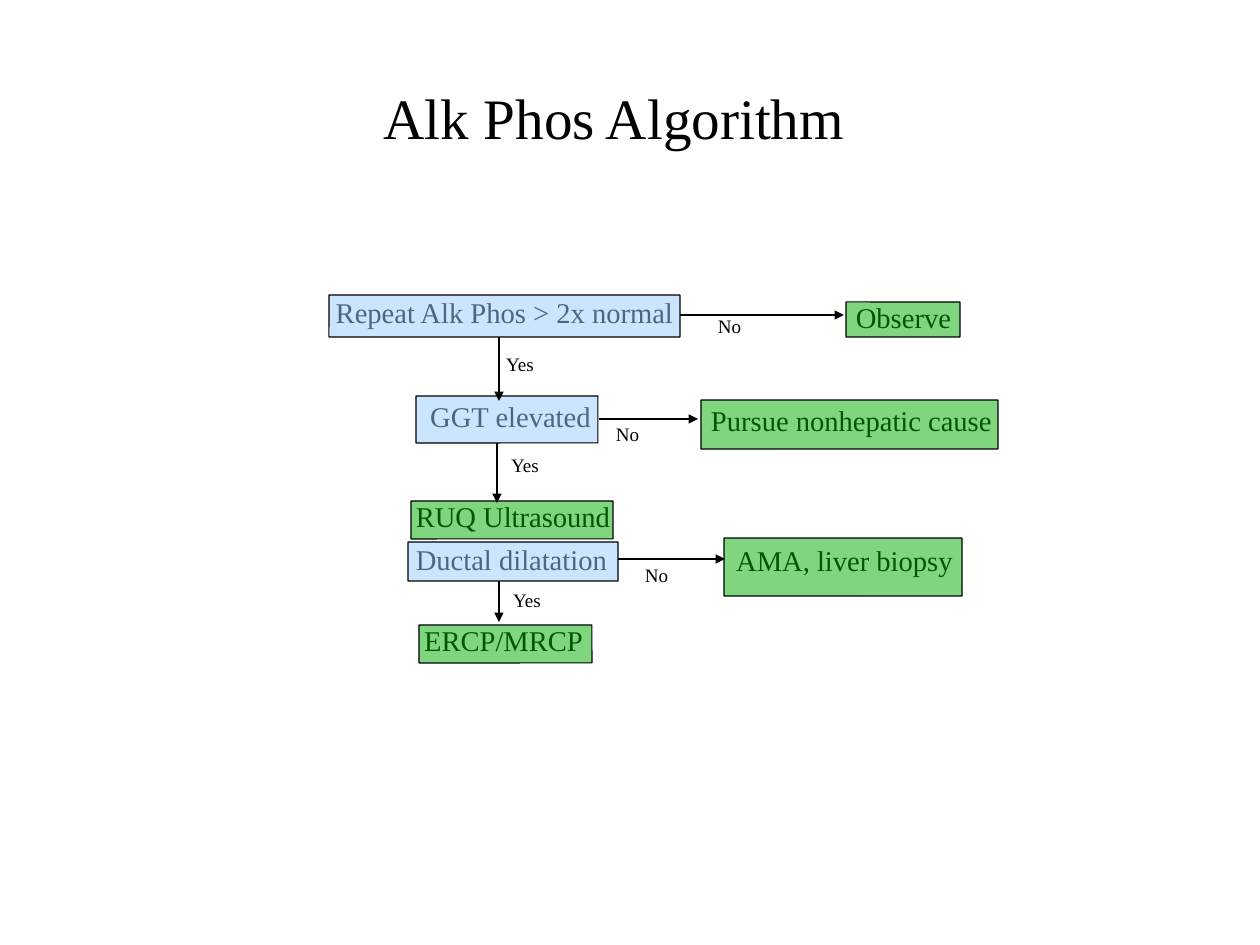
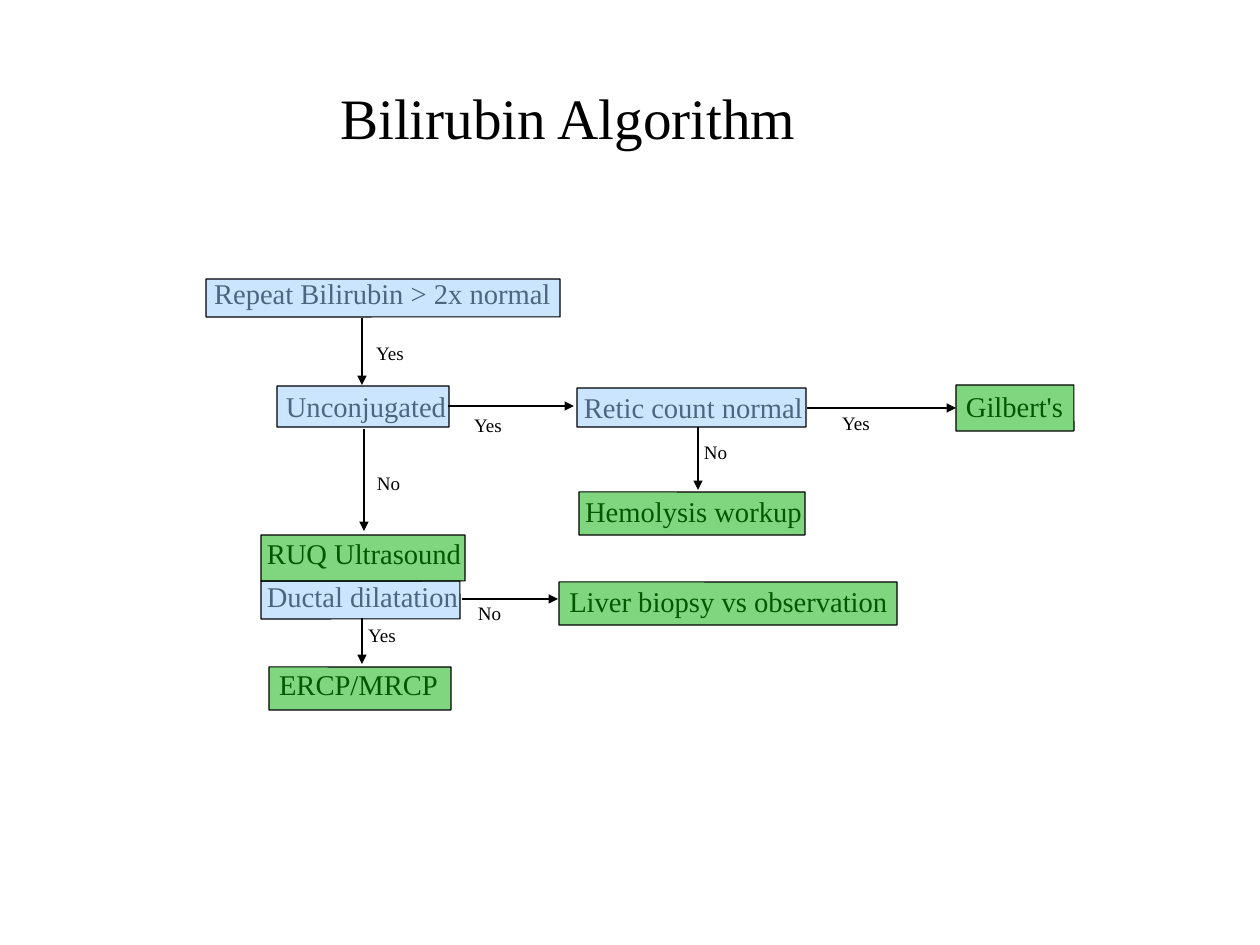
"""Build two liver test decision flowcharts."""
from lxml import etree
from pptx import Presentation
from pptx import util as u
from pptx.dml.color import RGBColor
from pptx.enum import shapes, text
from pptx.oxml.ns import qn

SCALE = 8000
WIDTH, HEIGHT = 1260, 945
FONT = "Times New Roman"
BLACK = RGBColor(0x00, 0x00, 0x00)
BLUE = RGBColor(0x99, 0xCC, 0xFF)
GREEN = RGBColor(0x00, 0xAE, 0x00)
COLOURS = {"question": BLUE, "action": GREEN}
TITLE, BODY, LABEL = 36, 18, 12
LINE_HEIGHT = {TITLE: 64, BODY: 32, LABEL: 22}
LABEL_WIDTH = {"Yes": 30, "No": 23}
SLACK = 3

CHARTS = [
    {
        "title": ("Alk Phos Algorithm", (382, 88, 464)),
        "steps": [
            ("GGT elevated", "question", (416, 396, 182, 47), (430, 402, 161)),
            ("Ductal dilatation", "question", (408, 542, 210, 39), (416, 545, 191)),
            ("Repeat Alk Phos > 2x normal", "question", (329, 295, 351, 42), (335, 298, 339)),
            ("RUQ Ultrasound", "action", (411, 501, 202, 38), (416, 502, 194)),
            ("ERCP/MRCP", "action", (419, 625, 173, 38), (424, 626, 159)),
            ("Observe", "action", (846, 302, 114, 35), (856, 303, 95)),
            ("Pursue nonhepatic cause", "action", (701, 400, 297, 49), (711, 406, 281)),
            ("AMA, liver biopsy", "action", (724, 538, 238, 58), (736, 546, 217)),
        ],
        "arrows": [
            ((499, 337), (499, 401), "Yes", (505, 354)),
            ((497, 443), (497, 503), "Yes", (510, 456)),
            ((499, 581), (499, 622), "Yes", (512, 590)),
            ((680, 315), (844, 315), "No", (718, 317)),
            ((599, 419), (698, 419), "No", (616, 424)),
            ((618, 559), (725, 559), "No", (645, 565)),
        ],
    },
    {
        "title": ("Bilirubin Algorithm", (339, 89, 458)),
        "steps": [
            ("Repeat Bilirubin > 2x normal", "question", (206, 279, 354, 38), (214, 279, 337)),
            ("Unconjugated", "question", (277, 386, 172, 41), (286, 392, 160)),
            ("Retic count normal", "question", (577, 388, 229, 39), (584, 393, 219)),
            ("Ductal dilatation", "question", (261, 581, 199, 38), (267, 582, 191)),
            ("RUQ Ultrasound", "action", (261, 535, 204, 46), (267, 539, 194)),
            ("ERCP/MRCP", "action", (269, 667, 182, 43), (279, 670, 159)),
            ("Hemolysis workup", "action", (579, 492, 226, 43), (585, 497, 217)),
            ("Gilbert's", "action", (956, 385, 118, 46), (966, 392, 97)),
            ("Liver biopsy vs observation", "action", (559, 582, 338, 43), (569, 587, 319)),
        ],
        "arrows": [
            ((362, 318), (362, 385), "Yes", (375, 343)),
            ((364, 429), (364, 531), "No", (377, 474)),
            ((362, 618), (362, 664), "Yes", (367, 625)),
            ((448, 406), (574, 406), "Yes", (473, 415)),
            ((807, 408), (956, 408), "Yes", (841, 413)),
            ((698, 427), (698, 490), "No", (704, 442)),
            ((462, 599), (558, 599), "No", (478, 603)),
        ],
    },
]


def px(*lengths):
    return [u.Emu(length * SCALE) for length in lengths]


def add_text(parent, words, left, top, width, size):
    place = px(left - SLACK, top, width + 2 * SLACK, LINE_HEIGHT[size])
    box = parent.shapes.add_textbox(*place)
    frame = box.text_frame
    frame.margin_left = frame.margin_right = frame.margin_top = frame.margin_bottom = 0
    frame.word_wrap = False
    frame.auto_size = text.MSO_AUTO_SIZE.SHAPE_TO_FIT_TEXT
    para = frame.paragraphs[0]
    para.alignment = text.PP_ALIGN.CENTER
    para.line_spacing = 0.93
    span = para.add_run()
    span.text = words
    span.font.name = FONT
    span.font.size = u.Pt(size)
    span.font.color.rgb = BLACK


def style_line(line):
    line.color.rgb = BLACK
    line.width = u.Pt(0.75)


def add_step(page, words, role, box, wording):
    group = page.shapes.add_group_shape()
    add_text(group, words, *wording, BODY)
    veil = group.shapes.add_shape(shapes.MSO_SHAPE.ROUNDED_RECTANGLE, *px(*box))
    veil.adjustments[0] = 0.005
    veil.shadow.inherit = False
    veil.fill.solid()
    veil.fill.fore_color.rgb = COLOURS[role]
    colour = next(veil.element.spPr.iter(qn("a:srgbClr")))
    etree.SubElement(colour, qn("a:alpha"), val="50000")
    style_line(veil.line)


def add_arrow(page, start, end, label, place):
    arrow = page.shapes.add_connector(shapes.MSO_CONNECTOR.STRAIGHT, *px(*start, *end))
    style_line(arrow.line)
    properties = arrow.element.spPr
    etree.SubElement(properties.find(qn("a:ln")), qn("a:tailEnd"), type="triangle")
    etree.SubElement(properties, qn("a:effectLst"))
    add_text(page, label, *place, LABEL_WIDTH[label], LABEL)


def main():
    deck = Presentation()
    deck.slide_width, deck.slide_height = px(WIDTH, HEIGHT)
    for chart in CHARTS:
        page = deck.slides.add_slide(deck.slide_layouts[6])
        words, place = chart["title"]
        add_text(page, words, *place, TITLE)
        for step in chart["steps"]:
            add_step(page, *step)
        for arrow in chart["arrows"]:
            add_arrow(page, *arrow)
    deck.save("out.pptx")


if __name__ == "__main__":
    main()
